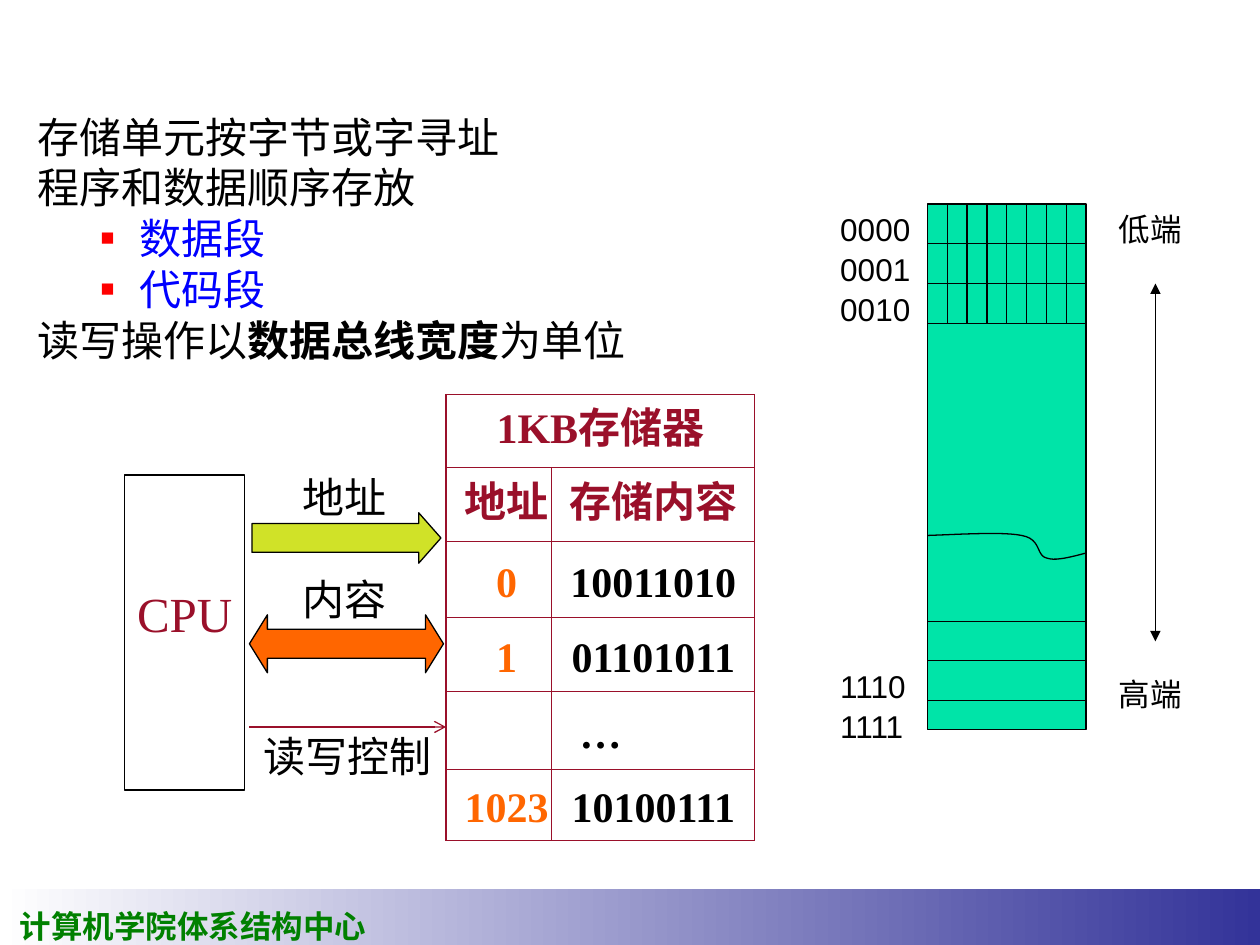
"""Build the slide on memory addressing and the CPU-memory connection."""
import pptx
import pptx.util
from lxml import etree
from pptx.dml.color import RGBColor
from pptx.enum.shapes import MSO_CONNECTOR, MSO_SHAPE
from pptx.enum.text import MSO_ANCHOR, MSO_AUTO_SIZE, PP_ALIGN
from pptx.oxml.ns import qn
from pptx.util import Inches, Pt

BLACK = RGBColor(0, 0, 0)
WHITE = RGBColor(255, 255, 255)
RED = RGBColor(255, 0, 0)
BLUE = RGBColor(0, 0, 255)
NAVY = RGBColor(0x33, 0x33, 0x99)
GREEN = RGBColor(0, 0x80, 0)
MINT = RGBColor(0, 0xE4, 0xA8)
LIME = RGBColor(0xD0, 0xE2, 0x28)
ORANGE = RGBColor(0xFF, 0x66, 0)
CRIMSON = RGBColor(0x9A, 0x10, 0x2A)
SERIF, SANS, BODY = "Times New Roman", "Arial", "Karla"

FOOTER = "计算机学院体系结构中心"
POINTS = [
    (0, [("存储单元按字节或字寻址", False)]),
    (0, [("程序和数据顺序存放", False)]),
    (1, [("数据段", False)]),
    (1, [("代码段", False)]),
    (0, [("读写操作以", False), ("数据总线宽度", True), ("为单位", False)]),
]
LOW_ADDRESSES = ["0000", "0001", "0010"]
HIGH_ADDRESSES = ["1110", "1111"]
ENDS = [("低端", 1.62), ("高端", 5.31)]
MEMORY_TITLE = "1KB存储器"
MEMORY_HEADER = ("地址", "存储内容")
MEMORY_ROWS = [("0", "10011010"), ("1", "01101011"), ("", "…"), ("1023", "10100111")]
MEMORY_HEIGHTS = [0.58, 0.59, 0.6, 0.59, 0.62, 0.56]
BUS_LABELS = [("地址", 2.3, 3.69, 0.87), ("内容", 2.3, 4.5, 0.87), ("读写控制", 1.91, 5.75, 1.7)]

BAR_LEFT, BAR_TOP, BAR_WIDTH, BAR_HEIGHT = 7.36, 1.62, 1.26, 4.17
CELL_HEIGHT, HIGH_TOP, BITS = 0.315, 4.93, 8
TEAR_START = (7.36, 4.25)
TEAR_CURVES = [
    [(7.66, 4.24), (7.95, 4.22), (8.11, 4.25)],
    [(8.27, 4.28), (8.22, 4.41), (8.31, 4.43)],
    [(8.39, 4.46), (8.57, 4.4), (8.62, 4.39)],
]


def box(*lengths):
    return [Inches(length) for length in lengths]


def add_run(paragraph, text, size, font, color, bold=False):
    run = paragraph.add_run()
    run.text = text
    run.font.size = Pt(size)
    run.font.name = font
    run.font.bold = bold
    run.font.color.rgb = color


def add_label(slide, text, place, size, font, color, bold=False, centered=False):
    frame = slide.shapes.add_textbox(*box(*place)).text_frame
    frame.word_wrap = centered
    frame.auto_size = MSO_AUTO_SIZE.SHAPE_TO_FIT_TEXT
    if centered:
        frame.vertical_anchor = MSO_ANCHOR.MIDDLE
        frame.paragraphs[0].alignment = PP_ALIGN.CENTER
    add_run(frame.paragraphs[0], text, size, font, color, bold)


def add_block(slide, preset, place, fill, adjustments=()):
    block = slide.shapes.add_shape(preset, *box(*place))
    block.shadow.inherit = False
    block.fill.solid()
    block.fill.fore_color.rgb = fill
    block.line.color.rgb = BLACK
    block.line.width = Pt(0.75)
    for index, value in enumerate(adjustments):
        block.adjustments[index] = value
    return block


def add_line(slide, start, end, color=BLACK, head=None, tail=None):
    line = slide.shapes.add_connector(MSO_CONNECTOR.STRAIGHT, *box(*start, *end))
    line.line.color.rgb = color
    line.line.width = Pt(0.75)
    for tag, kind in (("a:headEnd", head), ("a:tailEnd", tail)):
        if kind:
            etree.SubElement(line.line._get_or_add_ln(), qn(tag), type=kind)
    etree.SubElement(line._element.spPr, qn("a:effectLst"))


def add_footer(slide):
    band = slide.shapes.add_shape(MSO_SHAPE.RECTANGLE, *box(0, 7.06, 10, 0.44))
    band.shadow.inherit = False
    band.line.fill.background()
    band.fill.gradient()
    band.fill.gradient_angle = 0
    for stop, color, position in zip(band.fill.gradient_stops, (WHITE, NAVY), (0, 1)):
        stop.color.rgb = color
        stop.position = position
    add_label(slide, FOOTER, (0.06, 7.15, 2.96, 0.4), 18, SERIF, GREEN, bold=True)


def add_points(slide):
    frame = slide.shapes.add_textbox(*box(0.2, 0.91, 6.14, 2.27)).text_frame
    frame.word_wrap = True
    for index, (level, runs) in enumerate(POINTS):
        paragraph = frame.add_paragraph() if index else frame.paragraphs[0]
        properties = paragraph._p.get_or_add_pPr()
        if level:
            properties.set("marL", str(Inches(0.81)))
            properties.set("indent", str(Inches(-0.31)))
            bullet_color = etree.SubElement(properties, qn("a:buClr"))
            etree.SubElement(bullet_color, qn("a:srgbClr"), val=str(RED))
            etree.SubElement(properties, qn("a:buSzPct"), val="55000")
            etree.SubElement(properties, qn("a:buFont"), typeface=SERIF)
            etree.SubElement(properties, qn("a:buChar"), char="■")
        paragraph.line_spacing = 0.8
        paragraph.space_before = Pt(6 if index else 0)
        for text, bold in runs:
            add_run(paragraph, text, 24, BODY, BLUE if level else BLACK, bold)


def add_tear(slide):
    points, start = [], TEAR_START
    for first, second, end in TEAR_CURVES:
        for t in (step / 12 for step in range(1, 13)):
            weights = ((1 - t) ** 3, 3 * t * (1 - t) ** 2, 3 * t * t * (1 - t), t ** 3)
            corners = (start, first, second, end)
            points.append(box(*(sum(w * c[axis] for w, c in zip(weights, corners))
                                for axis in (0, 1))))
        start = end
    builder = slide.shapes.build_freeform(*box(*TEAR_START))
    builder.add_line_segments(points, close=False)
    tear = builder.convert_to_shape()
    tear.shadow.inherit = False
    tear.fill.background()
    tear.line.color.rgb = BLACK
    tear.line.width = Pt(0.75)


def add_address_space(slide):
    add_block(slide, MSO_SHAPE.RECTANGLE, (BAR_LEFT, BAR_TOP, BAR_WIDTH, BAR_HEIGHT), MINT)
    add_tear(slide)
    low_tops = [BAR_TOP + CELL_HEIGHT * row for row in range(4)]
    high_tops = [HIGH_TOP + CELL_HEIGHT * row for row in range(3)]
    for y in low_tops[1:] + high_tops:
        add_line(slide, (BAR_LEFT, y), (BAR_LEFT + BAR_WIDTH, y))
    for top, bottom in zip(low_tops, low_tops[1:]):
        for bit in range(1, BITS):
            x = BAR_LEFT + BAR_WIDTH * bit / BITS
            add_line(slide, (x, top), (x, bottom))
    for address, y in zip(LOW_ADDRESSES + HIGH_ADDRESSES, low_tops[:3] + high_tops[1:]):
        add_label(slide, address, (6.57, y, 0.78, 0.4), 18, SANS, BLACK)
    for end, y in ENDS:
        add_label(slide, end, (8.78, y, 0.7, 0.4), 18, SANS, BLACK)
    add_line(slide, (9.17, 2.25), (9.17, 5.09), head="triangle", tail="triangle")


def fill_cell(cell, text, color):
    for side in ("a:lnL", "a:lnR", "a:lnT", "a:lnB"):
        border = etree.SubElement(cell._tc.get_or_add_tcPr(), qn(side), w=str(Pt(0.75)))
        paint = etree.SubElement(border, qn("a:solidFill"))
        etree.SubElement(paint, qn("a:srgbClr"), val=str(CRIMSON))
    cell.fill.solid()
    cell.fill.fore_color.rgb = WHITE
    cell.vertical_anchor = MSO_ANCHOR.MIDDLE
    cell.margin_left = cell.margin_right = cell.margin_top = cell.margin_bottom = 0
    paragraph = cell.text_frame.paragraphs[0]
    paragraph.alignment = PP_ALIGN.CENTER
    if text == "…":
        paragraph.alignment = PP_ALIGN.LEFT
        cell.margin_left = Inches(0.22)
    if text:
        add_run(paragraph, text, 24, SERIF, color, bold=True)


def add_memory(slide):
    rows = [(MEMORY_TITLE, ""), MEMORY_HEADER] + MEMORY_ROWS
    memory = slide.shapes.add_table(len(rows), 2, *box(3.54, 3.13, 2.45, 3.54)).table
    memory.first_row = memory.horz_banding = False
    memory.columns[0].width, memory.columns[1].width = box(0.84, 1.61)
    for row, texts in enumerate(rows):
        memory.rows[row].height = Inches(MEMORY_HEIGHTS[row])
        colors = (CRIMSON, CRIMSON) if row < 2 else (ORANGE, BLACK)
        for column, text in enumerate(texts):
            cell = memory.cell(row, column)
            fill_cell(cell, text, colors[column])
            if row < 2:
                cell.margin_bottom = Inches(0.09)
            else:
                cell.margin_top = Inches(0.06)
            if row and not column:
                cell.margin_left = Inches(0.12)
    memory.cell(0, 0).merge(memory.cell(0, 1))


def add_cpu_and_buses(slide):
    cpu = add_block(slide, MSO_SHAPE.RECTANGLE, (0.99, 3.77, 0.95, 2.5), WHITE).text_frame
    cpu.word_wrap = False
    cpu.vertical_anchor = MSO_ANCHOR.MIDDLE
    cpu.margin_bottom = Inches(0.36)
    cpu.paragraphs[0].alignment = PP_ALIGN.CENTER
    add_run(cpu.paragraphs[0], "CPU", 28, SERIF, CRIMSON)
    add_block(slide, MSO_SHAPE.LEFT_RIGHT_ARROW, (1.98, 4.88, 1.54, 0.46), ORANGE, (0.5, 0.31))
    add_block(slide, MSO_SHAPE.RIGHT_ARROW, (2, 4.07, 1.5, 0.4), LIME, (0.57, 0.44))
    add_line(slide, (1.98, 5.77), (3.54, 5.77), CRIMSON, tail="arrow")
    for text, left, top, width in BUS_LABELS:
        add_label(slide, text, (left, top, width, 0.5), 24, SERIF, BLACK, centered=True)


def main():
    deck = pptx.Presentation()
    deck.slide_width, deck.slide_height = box(10, 7.5)
    slide = deck.slides.add_slide(deck.slide_layouts[6])
    for add_part in (add_footer, add_points, add_address_space, add_memory, add_cpu_and_buses):
        add_part(slide)
    deck.save("out.pptx")


if __name__ == "__main__":
    main()
